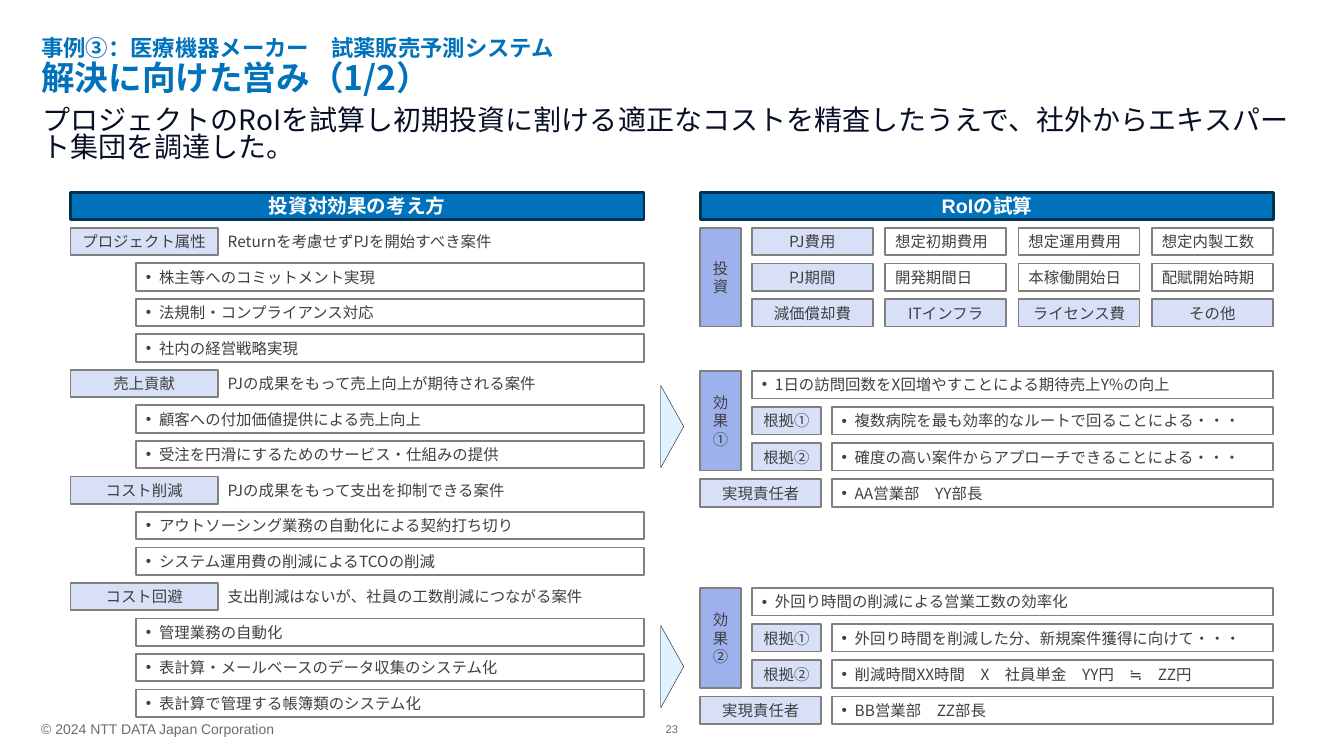
from lxml import etree
from pptx import Presentation
from pptx.dml.color import RGBColor
from pptx.enum.shapes import MSO_SHAPE
from pptx.enum.text import MSO_ANCHOR, PP_ALIGN
from pptx.oxml.ns import qn
from pptx.util import Cm, Pt

CENTER, LEFT = PP_ALIGN.CENTER, PP_ALIGN.LEFT
MIDDLE, TOP = MSO_ANCHOR.MIDDLE, MSO_ANCHOR.TOP
RECTANGLE, PLATE = MSO_SHAPE.RECTANGLE, MSO_SHAPE.PENTAGON
TRIANGLE = MSO_SHAPE.ISOSCELES_TRIANGLE

COLORS = {
    "blue": "0072BC", "navy": "003252", "ink": "070F26", "white": "FFFFFF",
    "label": "D8E0F8", "band": "9DB2ED", "arrow": "DFF2FF", "black": "000000",
    "border": "808080", "text": "404040", "footer": "6B6B6B",
}
GOTHIC, SANS = "Noto Sans CJK JP", "Arial"

TITLE = [("事例③：医療機器メーカー　試薬販売予測システム", 16), ("解決に向けた営み（1/2）", 24)]
MESSAGE = "プロジェクトのRoIを試算し初期投資に割ける適正なコストを精査したうえで、社外からエキスパート集団を調達した。"
COPYRIGHT = "© 2024 NTT DATA Japan Corporation"
PAGE_NUMBER = "23"
HEADERS = [("投資対効果の考え方", 1.78), ("RoIの試算", 17.65)]
VIEWPOINTS = [
    ("プロジェクト属性", "Returnを考慮せずPJを開始すべき案件",
     ["株主等へのコミットメント実現", "法規制・コンプライアンス対応", "社内の経営戦略実現"]),
    ("売上貢献", "PJの成果をもって売上向上が期待される案件",
     ["顧客への付加価値提供による売上向上", "受注を円滑にするためのサービス・仕組みの提供"]),
    ("コスト削減", "PJの成果をもって支出を抑制できる案件",
     ["アウトソーシング業務の自動化による契約打ち切り", "システム運用費の削減によるTCOの削減"]),
    ("コスト回避", "支出削減はないが、社員の工数削減につながる案件",
     ["管理業務の自動化", "表計算・メールベースのデータ収集のシステム化",
      "表計算で管理する帳簿類のシステム化"]),
]
INVESTMENT = [
    ["PJ費用", "想定初期費用", "想定運用費用", "想定内製工数"],
    ["PJ期間", "開発期間日", "本稼働開始日", "配賦開始時期"],
    ["減価償却費", "ITインフラ", "ライセンス費", "その他"],
]
EFFECTS = [
    ("効果①", 9.35, "1日の訪問回数をX回増やすことによる期待売上Y%の向上",
     [("根拠①", "複数病院を最も効率的なルートで回ることによる・・・"),
      ("根拠②", "確度の高い案件からアプローチできることによる・・・")],
     "AA営業部　YY部長"),
    ("効果②", 14.82, "外回り時間の削減による営業工数の効率化",
     [("根拠①", "外回り時間を削減した分、新規案件獲得に向けて・・・"),
      ("根拠②", "削減時間XX時間　X　社員単金　YY円　≒　ZZ円")],
     "BB営業部　ZZ部長"),
]
OWNER = "実現責任者"
ARROW_TOPS = [10.46, 16.51]

ROW_TOP, ROW_HEIGHT = 5.74, 0.69
LEFT_STEP, GRID_STEP, EFFECT_STEP = 0.895, 0.9, 0.91
LEFT_X, RIGHT_X, PANEL_WIDTH = 1.78, 17.65, 14.45
BODY_X, DETAIL_X, RIGHT_EDGE = 18.95, 20.96, 32.08
CELL_WIDTH, CELL_STEP = 3.05, 3.36

deck = Presentation()
deck.slide_width, deck.slide_height = Cm(33.87), Cm(19.05)
page = deck.slides.add_slide(deck.slide_layouts[6])


def color(name):
    return RGBColor.from_string(COLORS[name])


def write(box, lines, ink="text", latin=GOTHIC, bold=False, align=LEFT,
          anchor=MIDDLE, inset=None, spacing=None, bullet=False):
    frame = box.text_frame
    frame.word_wrap = True
    frame.vertical_anchor = anchor
    if inset is not None:
        frame.margin_left = frame.margin_right = Cm(inset)
        frame.margin_top = frame.margin_bottom = Cm(inset)
    for number, (text, size) in enumerate(lines):
        para = frame.add_paragraph() if number else frame.paragraphs[0]
        para.alignment = align
        if spacing:
            para.line_spacing = spacing
        if bullet:
            properties = para._p.get_or_add_pPr()
            properties.set("marL", str(Cm(0.33)))
            properties.set("indent", str(-Cm(0.33)))
            etree.SubElement(properties, qn("a:buFont")).set("typeface", SANS)
            etree.SubElement(properties, qn("a:buChar")).set("char", "•")
        span = para.add_run()
        span.text = text
        font = span.font
        font.size, font.bold, font.name = Pt(size), bold, latin
        font.color.rgb = color(ink)
        east_asian = etree.SubElement(span._r.get_or_add_rPr(), qn("a:ea"))
        east_asian.set("typeface", GOTHIC)


def add_text(lines, left, top, width, height, **style):
    box = page.shapes.add_textbox(Cm(left), Cm(top), Cm(width), Cm(height))
    write(box, lines, inset=0, **style)


def add_box(kind, left, top, width, height, fill, line="border", weight=1.25):
    box = page.shapes.add_shape(kind, Cm(left), Cm(top), Cm(width), Cm(height))
    box.shadow.inherit = False
    if fill:
        box.fill.solid()
        box.fill.fore_color.rgb = color(fill)
        box.line.color.rgb = color(line)
        box.line.width = Pt(weight)
    else:
        box.fill.background()
        box.line.fill.background()
    return box


def add_plate(text, left, top, width, height=ROW_HEIGHT, fill="white", **style):
    box = add_box(PLATE, left, top, width, height, fill)
    box.adjustments[0] = 0
    write(box, [(text, 11)], **style)


def add_label(text, left, top, width, height=ROW_HEIGHT, fill="label"):
    add_plate(text, left, top, width, height, fill, align=CENTER)


def add_item(text, left, top, right):
    add_plate(text, left, top, right - left, bullet=True)


add_text([(COPYRIGHT, 10)], 1.04, 18.24, 13.49, 0.25, ink="footer", latin=SANS)
add_text([(PAGE_NUMBER, 8)], 16.51, 18.24, 0.84, 0.25, ink="footer", latin=SANS, align=CENTER)
add_text(TITLE, 1.04, 0.94, 31.8, 1.09, ink="blue", bold=True, anchor=TOP, spacing=0.9)
add_text([(MESSAGE, 20)], 1.07, 2.75, 31.8, 1.95, ink="ink", anchor=TOP, spacing=0.8)

for header, left in HEADERS:
    bar = add_box(RECTANGLE, left, 4.85, PANEL_WIDTH, ROW_HEIGHT, "blue", "navy", 2)
    write(bar, [(header, 14)], ink="white", latin=SANS, bold=True, align=CENTER, inset=0.1)

row_top = ROW_TOP
for name, summary, items in VIEWPOINTS:
    add_label(name, LEFT_X, row_top, 3.71)
    add_plate(summary, LEFT_X + 3.71, row_top, 10.74, fill=None)
    for item in items:
        row_top += LEFT_STEP
        add_item(item, 3.43, row_top, LEFT_X + PANEL_WIDTH)
    row_top += LEFT_STEP

for top in ARROW_TOPS:
    add_box(TRIANGLE, 15.9, top, 2.08, 0.58, "arrow", "black", 0.25).rotation = 90

add_label("投資", RIGHT_X, ROW_TOP, 1.02, 2.49, "band")
for row, cells in enumerate(INVESTMENT):
    for column, cell in enumerate(cells):
        place = (BODY_X + column * CELL_STEP, ROW_TOP + row * GRID_STEP, CELL_WIDTH)
        if column == 0 or row == 2:
            add_label(cell, *place)
        else:
            add_plate(cell, *place)

for name, top, goal, grounds, person in EFFECTS:
    add_label(name, RIGHT_X, top, 1.02, 2.51, "band")
    add_item(goal, BODY_X, top, RIGHT_EDGE)
    for number, (label, ground) in enumerate(grounds, 1):
        ground_top = top + number * EFFECT_STEP
        add_label(label, BODY_X, ground_top, 1.74)
        add_item(ground, DETAIL_X, ground_top, RIGHT_EDGE)
    owner_top = top + 3 * EFFECT_STEP
    add_label(OWNER, RIGHT_X, owner_top, CELL_WIDTH)
    add_item(person, DETAIL_X, owner_top, RIGHT_EDGE)

deck.save("out.pptx")
